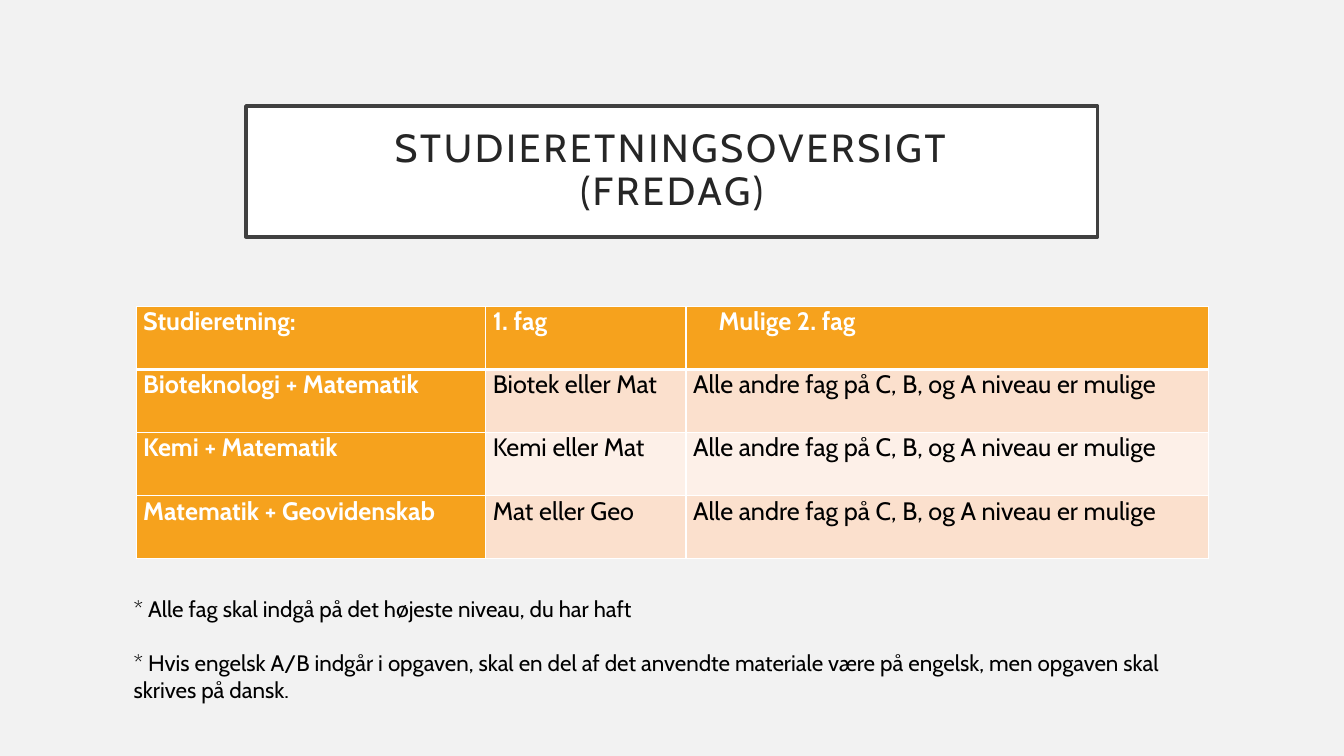
from dataclasses import dataclass

from lxml import etree
from pptx import Presentation
from pptx.dml.color import RGBColor
from pptx.enum.text import MSO_ANCHOR, MSO_AUTO_SIZE, PP_ALIGN
from pptx.oxml.ns import qn
from pptx.util import Cm, Pt

MIDDLE = MSO_ANCHOR.MIDDLE
CENTER = PP_ALIGN.CENTER
NO_FIT = MSO_AUTO_SIZE.NONE
GROW = MSO_AUTO_SIZE.SHAPE_TO_FIT_TEXT


@dataclass(frozen=True)
class Theme:
    font: str = "Cabin"
    background: str = "F2F2F2"
    white: str = "FFFFFF"
    frame: str = "404040"
    heading: str = "262626"
    body: str = "000000"
    accent: str = "F6A21D"
    bands: tuple = ("FBE0CD", "FDF0E8")
    title_size: int = 28
    table_size: int = 18
    note_size: int = 16


THEME = Theme()
SECOND_SUBJECT = "Alle andre fag på C, B, og A niveau er mulige"
ROWS = [
    ("Studieretning:", "1. fag", "Mulige 2. fag"),
    ("Bioteknologi + Matematik", "Biotek eller Mat", SECOND_SUBJECT),
    ("Kemi + Matematik", "Kemi eller Mat", SECOND_SUBJECT),
    ("Matematik + Geovidenskab", "Mat eller Geo", SECOND_SUBJECT),
]
COLUMN_WIDTHS = (8.81, 5.05, 13.16)
ROW_HEIGHT = 1.59
NOTES = [
    "* Alle fag skal indgå på det højeste niveau, du har haft",
    "* Hvis engelsk A/B indgår i opgaven, skal en del af det anvendte "
    "materiale være på engelsk, men opgaven skal skrives på dansk.",
]


def paint(fill, color):
    fill.solid()
    fill.fore_color.rgb = RGBColor.from_string(color)


def add_span(para, text, size, color, bold=False):
    span = para.add_run()
    span.text = text
    span.font.name = THEME.font
    span.font.size = Pt(size)
    span.font.bold = bold
    span.font.color.rgb = RGBColor.from_string(color)
    return span


def set_title(page, lines):
    title = page.shapes.title
    title.left, title.top, title.width, title.height = Cm(6.2), Cm(2.67), Cm(21.46), Cm(3.3)
    paint(title.fill, THEME.white)
    title.line.color.rgb = RGBColor.from_string(THEME.frame)
    title.line.width = Pt(2.5)
    frame = title.text_frame
    frame.word_wrap = True
    frame.auto_size = NO_FIT
    frame.vertical_anchor = MIDDLE
    frame.margin_left = frame.margin_right = frame.margin_top = frame.margin_bottom = Cm(0.51)
    para = frame.paragraphs[0]
    para.alignment = CENTER
    para.line_spacing = 0.9
    for index, line in enumerate(lines):
        if index:
            para.add_line_break()
        span = add_span(para, line, THEME.title_size, THEME.heading)
        span.font._element.set("spc", "200")


def add_border(cell, side, points):
    properties = cell._tc.get_or_add_tcPr()
    border = etree.SubElement(properties, qn(f"a:ln{side}"), w=str(Pt(points)))
    fill = etree.SubElement(border, qn("a:solidFill"))
    etree.SubElement(fill, qn("a:srgbClr"), val=THEME.white)


def fill_cell(cell, text, row, column):
    strong = row == 0 or column == 0
    for side in "LRTB":
        thick = (row == 0 and side == "B") or (row == 1 and side == "T")
        add_border(cell, side, 3 if thick else 1)
    paint(cell.fill, THEME.accent if strong else THEME.bands[(row - 1) % 2])
    cell.margin_left = cell.margin_right = Cm(0.18)
    cell.margin_top = cell.margin_bottom = 0
    para = cell.text_frame.paragraphs[0]
    if row == 0 and column == 2:
        para._p.get_or_add_pPr().set("marL", str(Cm(0.64)))
    add_span(para, text, THEME.table_size, THEME.white if strong else THEME.body, strong)


def add_subject_table(page):
    table = page.shapes.add_table(
        len(ROWS), len(COLUMN_WIDTHS), Cm(3.43), Cm(7.72),
        Cm(sum(COLUMN_WIDTHS)), Cm(ROW_HEIGHT * len(ROWS))).table
    table.first_col = True
    for column, width in zip(table.columns, COLUMN_WIDTHS):
        column.width = Cm(width)
    for row, texts in enumerate(ROWS):
        table.rows[row].height = Cm(ROW_HEIGHT)
        for column, text in enumerate(texts):
            fill_cell(table.cell(row, column), text, row, column)


def add_notes_box(page):
    box = page.shapes.add_textbox(Cm(3.12), Cm(14.86), Cm(27.03), Cm(3))
    frame = box.text_frame
    frame.word_wrap = True
    frame.auto_size = GROW
    for index, note in enumerate(NOTES):
        para = frame.add_paragraph() if index else frame.paragraphs[0]
        para.space_before = Pt(19.5 if index else 0)
        add_span(para, note, THEME.note_size, THEME.body)


def main():
    deck = Presentation()
    deck.slide_width, deck.slide_height = Cm(33.87), Cm(19.05)
    page = deck.slides.add_slide(deck.slide_layouts[5])
    paint(page.background.fill, THEME.background)
    set_title(page, ["STUDIERETNINGSOVERSIGT", "(FREDAG)"])
    add_subject_table(page)
    add_notes_box(page)
    deck.save("out.pptx")


if __name__ == "__main__":
    main()
